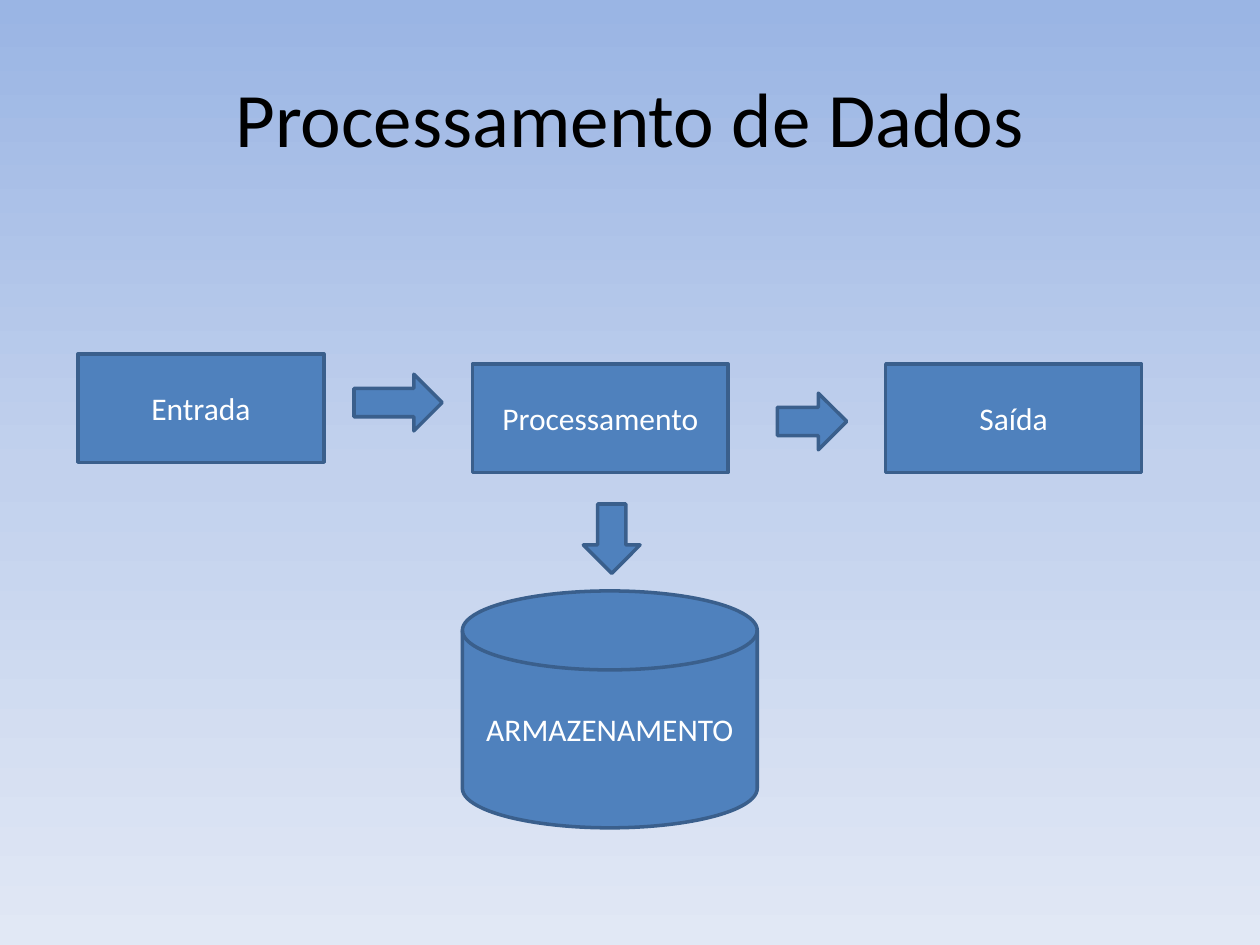
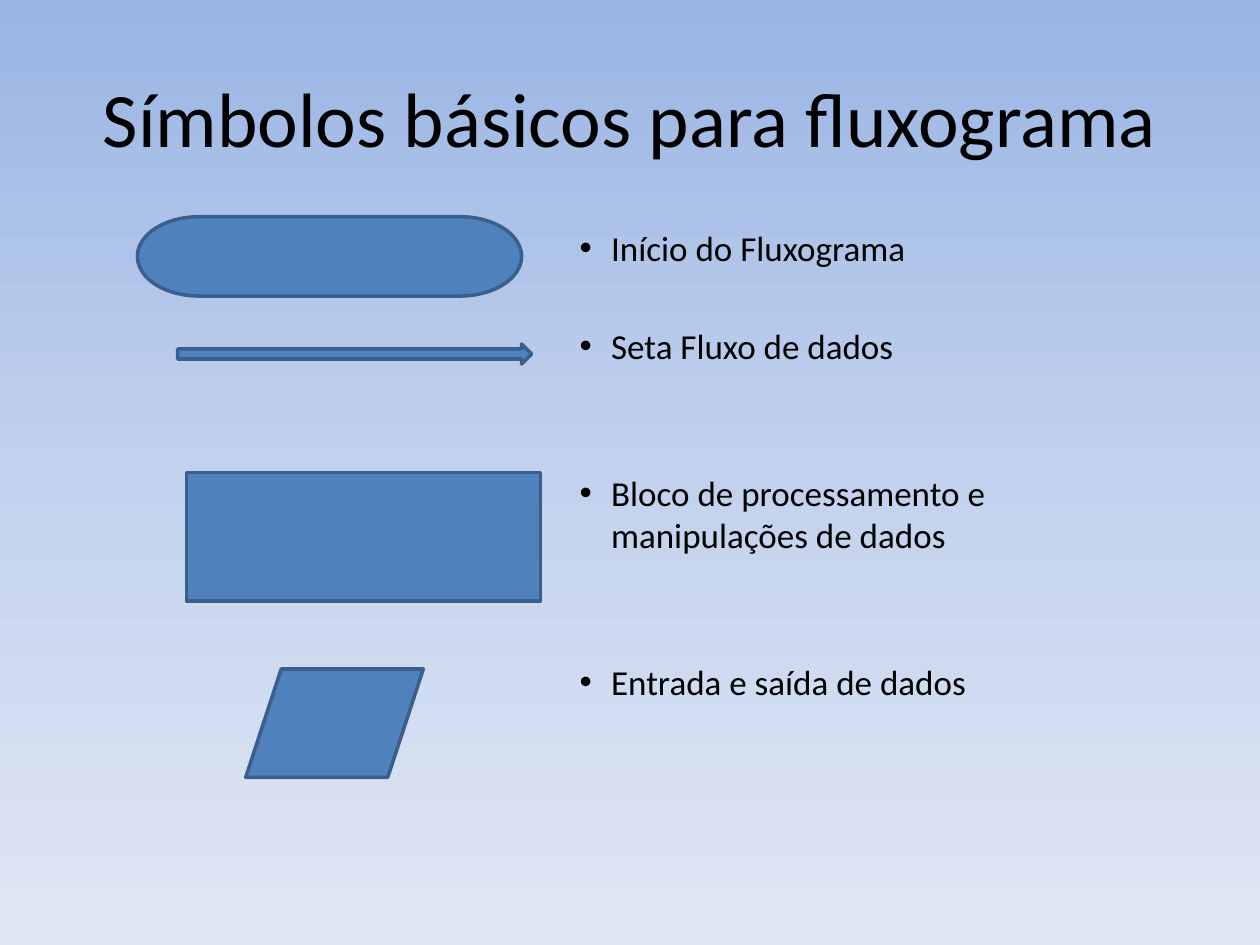
from copy import deepcopy

from pptx import Presentation
from pptx.dml.color import RGBColor
from pptx.enum.shapes import MSO_SHAPE
from pptx.enum.text import MSO_ANCHOR, PP_ALIGN
from pptx.oxml.ns import qn
from pptx.util import Inches, Pt

FONT = "Calibri"
BLACK, WHITE = "000000", "FFFFFF"
SHAPE_FILL, SHAPE_LINE = "4F81BD", "3A5F8C"
BACKGROUND = [(0, "9AB5E4"), (0.5, "C2D1ED"), (1, "E1E8F5")]
TITLE_ONLY, TITLE_AND_BODY = 5, 1


def color(value):
    """Turn a hex string into a colour."""
    return RGBColor.from_string(value)


def place(shape, left, top, width, height):
    """Move and size a shape in inches."""
    shape.left, shape.top = Inches(left), Inches(top)
    shape.width, shape.height = Inches(width), Inches(height)


def format_runs(paragraph, size, value):
    """Give every run of a paragraph its font."""
    for span in paragraph.runs:
        span.font.name = FONT
        span.font.size = Pt(size)
        span.font.color.rgb = color(value)


def paint_background(master):
    """Give all slides the vertical blue gradient."""
    fill = master.background.fill
    fill.gradient()
    fill.gradient_angle = 270
    stops = master.element.find(".//" + qn("a:gsLst"))
    stops.append(deepcopy(stops[-1]))
    for stop, (position, value) in zip(fill.gradient_stops, BACKGROUND):
        stop.position = position
        stop.color.rgb = color(value)


def add_page(deck, layout, title):
    """Add a slide with its centred title."""
    page = deck.slides.add_slide(deck.slide_layouts[layout])
    box = page.shapes.title
    place(box, 0.5, 0.3, 9, 1.25)
    box.text_frame.text = title
    box.text_frame.vertical_anchor = MSO_ANCHOR.MIDDLE
    para = box.text_frame.paragraphs[0]
    para.alignment = PP_ALIGN.CENTER
    format_runs(para, 44, BLACK)
    return page


def add_symbol(page, kind, left, top, width, height, text="", rotation=0):
    """Add a blue flowchart symbol, with a label if given."""
    symbol = page.shapes.add_shape(
        kind, Inches(left), Inches(top), Inches(width), Inches(height))
    symbol.rotation = rotation
    symbol.shadow.inherit = False
    symbol.fill.solid()
    symbol.fill.fore_color.rgb = color(SHAPE_FILL)
    symbol.line.color.rgb = color(SHAPE_LINE)
    symbol.line.width = Pt(2)
    if text:
        symbol.text_frame.text = text
        symbol.text_frame.vertical_anchor = MSO_ANCHOR.MIDDLE
        para = symbol.text_frame.paragraphs[0]
        para.alignment = PP_ALIGN.CENTER
        format_runs(para, 18, WHITE)


def fill_list(box, items):
    """Write bulleted items, each with its space before in points."""
    place(box, 0.5, 1.75, 9, 4.95)
    frame = box.text_frame
    frame.text = "\n".join(text for text, gap in items)
    for para, (text, gap) in zip(frame.paragraphs, items):
        para.level = 8
        para.space_before = Pt(gap)
        format_runs(para, 20, BLACK)


def build_processing(deck):
    """Build the slide on the stages of data processing."""
    page = add_page(deck, TITLE_ONLY, "Processamento de Dados")
    stages = [("Entrada", 0.62, 2.81, 1.95),
              ("Processamento", 3.75, 2.89, 2.03),
              ("Saída", 7.03, 2.89, 2.03)]
    for text, left, top, width in stages:
        add_symbol(page, MSO_SHAPE.RECTANGLE, left, top, width, 0.86, text)
    arrows = [(2.81, 2.97, 0.7, 0), (6.17, 3.12, 0.55, 0),
              (4.58, 4.05, 0.55, 90)]
    for left, top, width, rotation in arrows:
        add_symbol(page, MSO_SHAPE.RIGHT_ARROW, left, top, width, 0.45,
                   rotation=rotation)
    add_symbol(page, MSO_SHAPE.FLOWCHART_MAGNETIC_DISK,
               3.67, 4.69, 2.34, 1.88, "ARMAZENAMENTO")


def build_symbols(deck):
    """Build the slide on the basic flowchart symbols."""
    page = add_page(deck, TITLE_AND_BODY, "Símbolos básicos para fluxograma")
    fill_list(page.placeholders[1], [
        ("Início do Fluxograma", 4),
        ("Seta Fluxo de dados", 32),
        ("Bloco de processamento e manipulações de dados", 60),
        ("Entrada e saída de dados", 60),
    ])
    add_symbol(page, MSO_SHAPE.RIGHT_ARROW, 1.41, 2.73, 2.81, 0.16)
    add_symbol(page, MSO_SHAPE.RECTANGLE, 1.48, 3.75, 2.81, 1.02)
    add_symbol(page, MSO_SHAPE.FLOWCHART_DATA, 1.95, 5.31, 1.41, 0.86)
    add_symbol(page, MSO_SHAPE.FLOWCHART_TERMINATOR, 1.09, 1.72, 3.05, 0.63)


def main():
    """Build and save the deck."""
    deck = Presentation()
    deck.slide_width, deck.slide_height = Inches(10), Inches(7.5)
    paint_background(deck.slide_master)
    build_processing(deck)
    build_symbols(deck)
    deck.save("out.pptx")


main()
